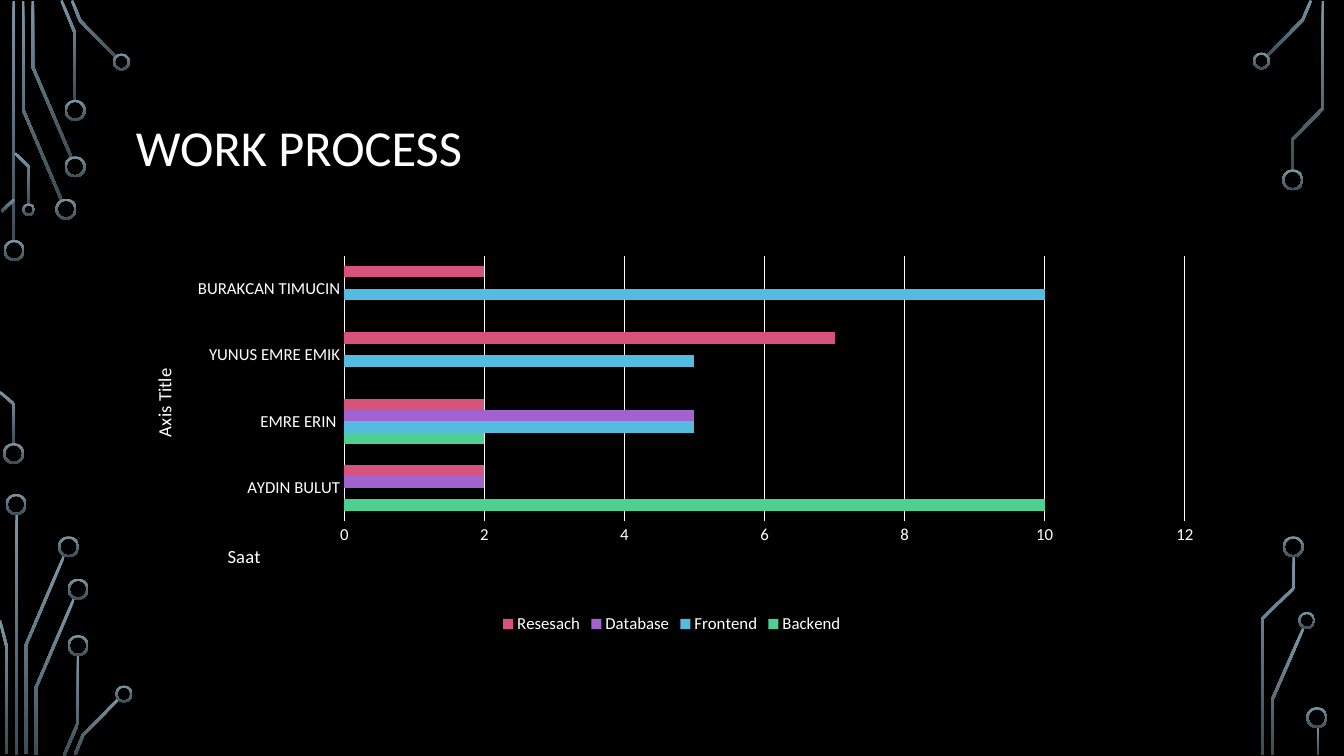
from typing import NamedTuple

from lxml.etree import SubElement
from pptx import Presentation
from pptx.chart.data import CategoryChartData
from pptx.dml.color import RGBColor
from pptx.enum.chart import XL_CHART_TYPE as ChartType
from pptx.enum.chart import XL_LEGEND_POSITION as LegendPos
from pptx.enum.chart import XL_TICK_MARK as Tick
from pptx.enum.shapes import MSO_SHAPE as Shape
from pptx.enum.text import MSO_ANCHOR as Anchor
from pptx.oxml.ns import qn
from pptx.util import Emu, Inches, Pt

COLS, ROWS = 1333.33, 750  # grid of 0.01 inch cells
FONT, WHITE = "Calibri", "FFFFFF"
STROKE, RIM = 2.6, 2


class Trace(NamedTuple):
    points: list[complex]  # column + row * 1j


class Ring(NamedTuple):
    col: float
    row: float
    size: float = 21


class Series(NamedTuple):
    name: str
    hours: list[int]
    color: str


TRACES = [
    # top left
    Trace([13.5 + 1j, 13.5 + 240j]),
    Trace([23 + 1j, 23 + 109j, 61 + 198.5j]),
    Trace([32.5 + 1j, 32.5 + 66.5j, 71 + 156.5j]),
    Trace([61 + 0.5j, 74.5 + 33j, 74.5 + 100j]),
    Trace([71.5 + 0.5j, 79.5 + 20.5j, 115.5 + 57j]),
    Trace([1.5 + 210j, 14 + 198j]),
    Trace([15 + 152j, 29 + 165.5j, 29 + 203j]),
    # bottom left
    Trace([0 + 389j, 14 + 401j, 14 + 441j]),
    Trace([16.5 + 510j, 16.5 + 749j]),
    Trace([63.5 + 551.5j, 25.5 + 640.5j, 25.5 + 748j]),
    Trace([0 + 615.5j, 6.5 + 641j, 6.5 + 748j]),
    Trace([73.5 + 593.5j, 35.5 + 682.5j, 35.5 + 749j]),
    Trace([77.5 + 650j, 77.5 + 717j, 63.5 + 749.5j]),
    Trace([118 + 693j, 82.5 + 729j, 74.5 + 748.5j]),
    # top right
    Trace([1257 + 55.5j, 1292.5 + 19.5j, 1300.5 + 0.5j]),
    Trace([1312.5 + 1j, 1312.5 + 107.5j, 1282 + 138.5j, 1282 + 169j]),
    # bottom right
    Trace([1293 + 623.5j, 1262.5 + 693.5j, 1262.5 + 749j]),
    Trace([1283.5 + 552j, 1283.5 + 583.5j, 1252.5 + 613.5j, 1252.5 + 749j]),
    Trace([1307.5 + 721j, 1307.5 + 749j]),
]
RINGS = [
    Ring(14, 248.5), Ring(13.5, 450), Ring(65.5, 207.5), Ring(74.5, 165.5),
    Ring(74.5, 109.5), Ring(120.5, 61.5, 17), Ring(28.5, 208, 12.5),
    Ring(16, 500.5), Ring(68, 542.5), Ring(77.5, 584.5), Ring(77.5, 640.5),
    Ring(123, 688.5, 17), Ring(1251.5, 60.5, 17), Ring(1282.5, 178.5),
    Ring(1296.5, 615.5, 17), Ring(1283, 542.5), Ring(1306.5, 712),
]
PEOPLE = ["AYDIN BULUT", "EMRE ERIN ", "YUNUS EMRE EMIK", "BURAKCAN TIMUCIN"]
SERIES = [
    Series("Backend", [10, 2, 0, 0], "4FD093"),
    Series("Frontend", [0, 5, 5, 10], "54BCDF"),
    Series("Database", [2, 5, 0, 0], "A262D0"),
    Series("Resesach", [2, 2, 7, 2], "D7537B"),
]


def cells(n: float) -> Emu:
    return Inches(n / 100)


def rgb(color: str) -> RGBColor:
    return RGBColor.from_string(color)


def style_font(font, size: float) -> None:
    font.name, font.size, font.bold = FONT, Pt(size), False
    font.color.rgb = rgb(WHITE)


def style_circuit(shape) -> None:
    shape.shadow.inherit = False
    shape.line.fill.background()
    shape.fill.gradient()
    shape.fill.gradient_angle = 270
    for stop, color in zip(shape.fill.gradient_stops, ("7C96A3", "3B4C54")):
        stop.color.rgb = rgb(color)


def draw_trace(s, trace: Trace) -> None:
    """Outline a bent strip of constant width around the trace's points."""
    pts = trace.points
    normals = [1j * (b - a) / abs(b - a) for a, b in zip(pts, pts[1:])]
    pairs = zip([normals[0]] + normals, normals + [normals[-1]])
    shifts = [STROKE / 2 * (m + n) / (1 + (m * n.conjugate()).real) for m, n in pairs]
    left = [p + d for p, d in zip(pts, shifts)]
    right = [p - d for p, d in zip(pts, shifts)]
    outline = [(cells(p.real), cells(p.imag)) for p in left + right[::-1]]
    builder = s.shapes.build_freeform(*outline[0], scale=1.0)
    builder.add_line_segments(outline[1:], close=True)
    style_circuit(builder.convert_to_shape())


def draw_ring(s, ring: Ring) -> None:
    half, size = ring.size / 2, cells(ring.size)
    sp = s.shapes.add_shape(
        Shape.DONUT, cells(ring.col - half), cells(ring.row - half), size, size)
    sp.adjustments[0] = RIM / ring.size
    style_circuit(sp)


def add_title(s, text: str) -> None:
    tf = s.shapes.add_textbox(cells(125), cells(68), cells(1083), cells(162)).text_frame
    tf.word_wrap, tf.vertical_anchor = True, Anchor.MIDDLE
    p = tf.paragraphs[0]
    p.line_spacing = 0.9
    r = p.add_run()
    r.text = text
    style_font(r.font, 36)


def place(element, index: int, **shares: float) -> None:
    """Fix a chart part at shares of the chart's size."""
    for old in element.findall(qn("c:layout")):
        element.remove(old)
    layout = element.makeelement(qn("c:layout"))
    element.insert(index, layout)
    manual = SubElement(layout, qn("c:manualLayout"))
    if "w" in shares:
        SubElement(manual, qn("c:layoutTarget")).set("val", "inner")
    for key in ("x", "y"):
        SubElement(manual, qn(f"c:{key}Mode")).set("val", "edge")
    for key, share in shares.items():
        SubElement(manual, qn(f"c:{key}")).set("val", str(share))


def add_axis_title(axis, text: str, turn: int, x: float, y: float) -> None:
    title = axis.axis_title
    r = title.text_frame.paragraphs[0].add_run()
    r.text = text
    style_font(r.font, 13.3)
    element = title._element
    element.find(".//" + qn("a:bodyPr")).set("rot", str(turn * 60000))
    place(element, 1, x=x, y=y)


def add_hours_chart(s) -> None:
    data = CategoryChartData()
    data.categories = PEOPLE
    for series in SERIES:
        data.add_series(series.name, series.hours)
    chart = s.shapes.add_chart(ChartType.BAR_CLUSTERED, cells(125), cells(246),
                               cells(1083), cells(387), data).chart
    style_font(chart.font, 12)
    chart.has_title = False
    chart.has_legend = True
    chart.legend.position, chart.legend.include_in_layout = LegendPos.BOTTOM, False
    style_font(chart.legend.font, 12)

    plot = chart.plots[0]
    plot.gap_width, plot.vary_by_categories = 182, False
    for bars, series in zip(plot.series, SERIES):
        bars.format.fill.solid()
        bars.format.fill.fore_color.rgb = rgb(series.color)

    people, hours = chart.category_axis, chart.value_axis
    for axis in (people, hours):
        axis.major_tick_mark = axis.minor_tick_mark = Tick.NONE
        style_font(axis.tick_labels.font, 12)
    hours.minimum_scale, hours.maximum_scale, hours.major_unit = 0, 12, 2
    hours.format.line.fill.background()
    for line in (people.format.line, hours.major_gridlines.format.line):
        line.color.rgb, line.width = rgb(WHITE), Pt(0.75)
    add_axis_title(people, "Axis Title", -90, x=0.02, y=0.3)
    add_axis_title(hours, "Saat", 0, x=0.09, y=0.75)
    place(plot._element.getparent(), 0, x=0.2, y=0.02, w=0.77, h=0.68)


def main() -> None:
    prs = Presentation()
    prs.slide_width, prs.slide_height = cells(COLS), cells(ROWS)
    s = prs.slides.add_slide(prs.slide_layouts[6])
    s.background.fill.solid()
    s.background.fill.fore_color.rgb = rgb("000000")
    for trace in TRACES:
        draw_trace(s, trace)
    for ring in RINGS:
        draw_ring(s, ring)
    add_title(s, "WORK PROCESS")
    add_hours_chart(s)
    prs.save("out.pptx")


if __name__ == "__main__":
    main()
